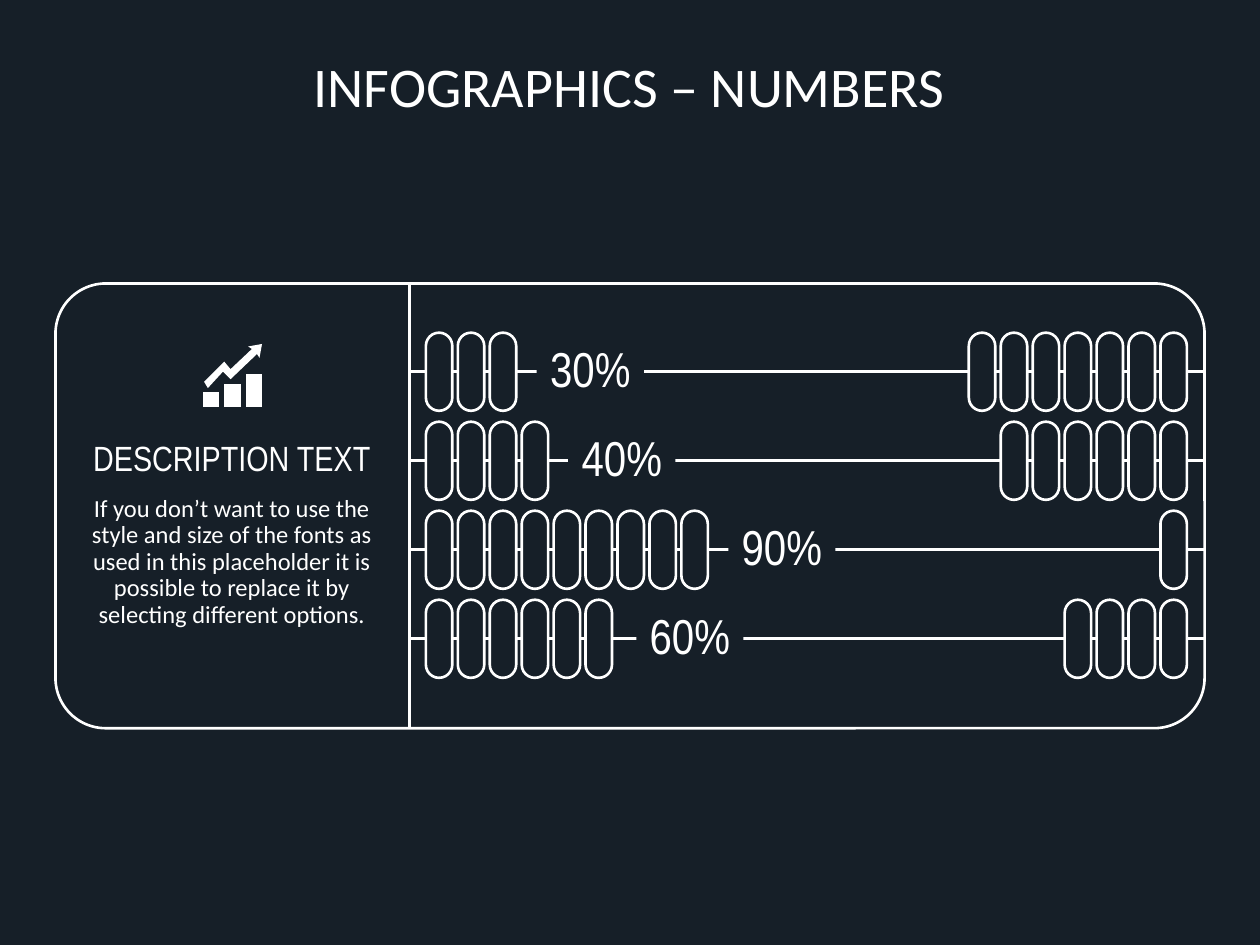
from typing import NamedTuple

from pptx import Presentation
from pptx.dml.color import RGBColor
from pptx.enum import shapes as es, text as et
from pptx.oxml import xmlchemy as xc
from pptx.util import Inches, Pt

DARK, WHITE = "161F28", "FFFFFF"
NARROW, SANS = "Arial Narrow", "Calibri"
LEFT, SPLIT, RIGHT = 0.44, 3.25, 9.56
TOP, HIGH = 2.25, 3.53
FIRST, LAST = 3.38, 9.21  # left edges of the outer beads
HEAD, FOOT = 2.95, 5.07  # heights of the outer wires
WIDE, TALL = 0.21, 0.62
BEADS = 10
STEP = (LAST - FIRST) / 23  # 23 bead widths fill a wire


class Row(NamedTuple):
    count: int
    label: float  # left edge of the percentage


class Para(NamedTuple):
    words: str
    size: int
    font: str
    after: int = 10


ROWS = [Row(3, 4.26), Row(4, 4.51), Row(9, 5.78), Row(6, 5.05)]
PITCH = (FOOT - HEAD) / (len(ROWS) - 1)

# Icon outlines: rising arrow, then three bars
ARROW = [(1.78, 2.87), (1.83, 2.93), (2, 2.77), (1.97, 2.75), (2.08, 2.73),
         (2.06, 2.84), (2.04, 2.81), (1.83, 3.01), (1.77, 2.95),
         (1.65, 3.08), (1.62, 3.03)]
BARS = [(1.61, 3.11), (1.78, 3.05), (1.95, 2.97)]
BASE, THICK = 3.23, 0.13


def color(code: str) -> RGBColor:
    return RGBColor.from_string(code)


def paint(shape, fill: str | None, line: str | None) -> None:
    shape.shadow.inherit = False
    if fill:
        shape.fill.solid()
        shape.fill.fore_color.rgb = color(fill)
    else:
        shape.fill.background()
    if line:
        shape.line.color.rgb = color(line)
        shape.line.width = Pt(1.5)
    else:
        shape.line.fill.background()


def box(kind, x: float, y: float, w: float, h: float,
        fill: str | None, line: str | None):
    shape = slide.shapes.add_shape(
        kind, Inches(x), Inches(y), Inches(w), Inches(h))
    paint(shape, fill, line)
    return shape


def rule(x1: float, y1: float, x2: float, y2: float) -> None:
    line = slide.shapes.add_connector(
        es.MSO_CONNECTOR.STRAIGHT,
        Inches(x1), Inches(y1), Inches(x2), Inches(y2))
    line.line.color.rgb = color(WHITE)
    line.line.width = Pt(1.5)
    line._element.spPr.append(xc.OxmlElement("a:effectLst"))


def outline(points: list[tuple[float, float]]) -> None:
    spots = [(Inches(x), Inches(y)) for x, y in points]
    path = slide.shapes.build_freeform(*spots[0])
    path.add_line_segments(spots[1:], close=True)
    paint(path.convert_to_shape(), WHITE, None)


def write(shape, paras: list[Para], inset: float, anchor) -> None:
    frame = shape.text_frame
    frame.word_wrap = True
    frame.vertical_anchor = anchor
    frame.margin_left = frame.margin_right = Inches(inset)
    frame.margin_top = frame.margin_bottom = Inches(inset)
    frame.text = "\n".join(p.words for p in paras)
    for item, para in zip(paras, frame.paragraphs):
        para.alignment = et.PP_ALIGN.CENTER
        para.line_spacing = 0.9
        para.space_after = Pt(item.after)
        font = para.runs[0].font
        font.name, font.size = item.font, Pt(item.size)
        font.color.rgb = color(WHITE)


def note(x: float, y: float, w: float, h: float):
    return slide.shapes.add_textbox(
        Inches(x), Inches(y), Inches(w), Inches(h))


def bead(x: float, y: float) -> None:
    shape = box(es.MSO_SHAPE.ROUNDED_RECTANGLE, x, y, WIDE, TALL,
                DARK, WHITE)
    shape.adjustments[0] = 0.5


def abacus(index: int, row: Row) -> None:
    mid = HEAD + index * PITCH
    top = mid - TALL / 2
    rule(SPLIT, mid, RIGHT, mid)
    for slot in range(row.count):
        bead(FIRST + slot * STEP, top)
    for slot in range(BEADS - row.count):
        bead(LAST - slot * STEP, top)
    tag = box(es.MSO_SHAPE.RECTANGLE, row.label, mid - 0.2, 0.85, 0.4,
              DARK, None)
    write(tag, [Para(f"{row.count * 10}%", 28, NARROW)], 0,
          et.MSO_ANCHOR.MIDDLE)


deck = Presentation()
deck.slide_width, deck.slide_height = Inches(10), Inches(7.5)
slide = deck.slides.add_slide(deck.slide_layouts[6])
slide.background.fill.solid()
slide.background.fill.fore_color.rgb = color(DARK)

# Title
write(note(0.43, 0.47, 9.13, 1.18),
      [Para("INFOGRAPHICS – NUMBERS", 32, SANS, 0)], 0, et.MSO_ANCHOR.TOP)

# Frame and description
panel = box(es.MSO_SHAPE.ROUNDED_RECTANGLE, LEFT, TOP, RIGHT - LEFT, HIGH,
            None, WHITE)
panel.adjustments[0] = 0.113
write(note(0.43, 2.7, 2.82, 3.09), [
    Para("DESCRIPTION TEXT", 20, NARROW),
    Para("If you don’t want to use the style and size of the fonts as used "
         "in this placeholder it is possible to replace it by selecting "
         "different options.", 14, SANS),
], 0.28, et.MSO_ANCHOR.MIDDLE)

# Growth icon
outline(ARROW)
for x, y in BARS:
    outline([(x, y), (x + THICK, y), (x + THICK, BASE), (x, BASE)])

# Abacus
rule(SPLIT, TOP, SPLIT, TOP + HIGH)
for index, row in enumerate(ROWS):
    abacus(index, row)

deck.save("out.pptx")
